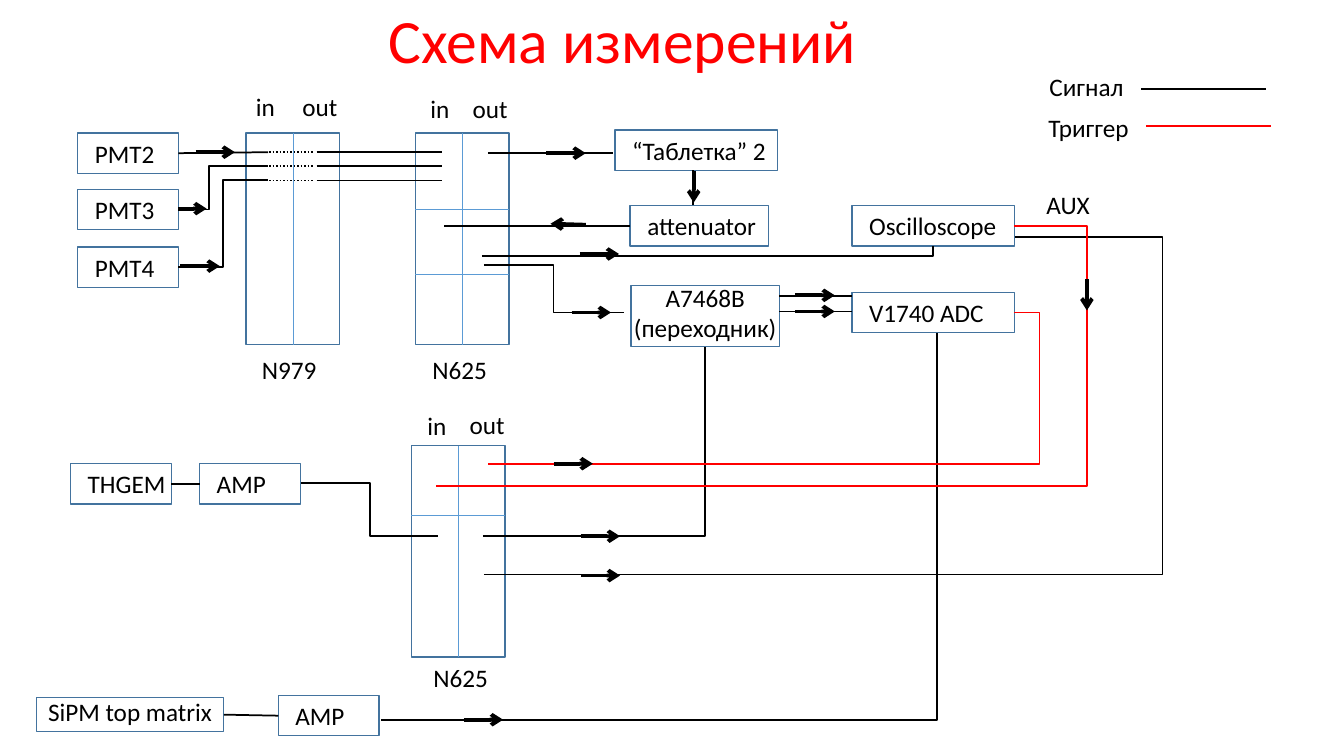
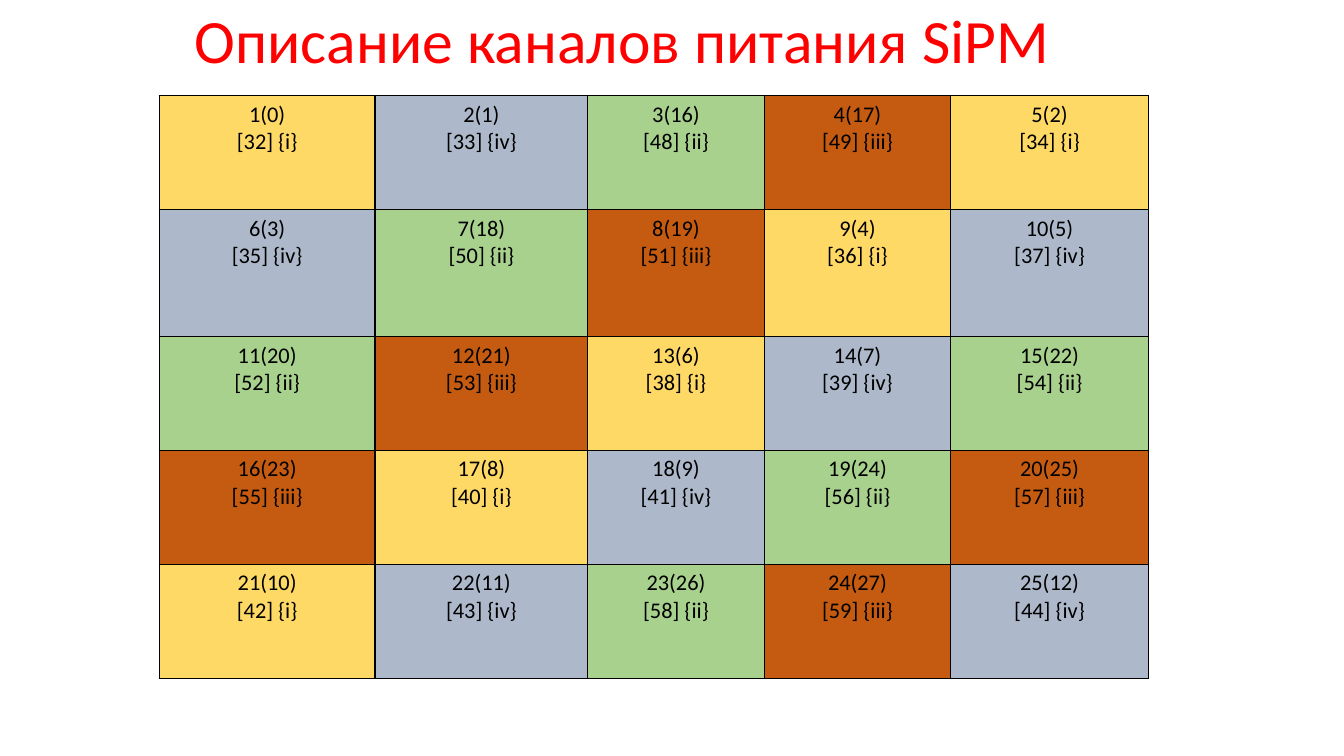
from itertools import count, cycle, islice

from lxml.etree import SubElement
from pptx import Presentation
from pptx.dml.color import RGBColor
from pptx.enum.dml import MSO_LINE_DASH_STYLE as Dash
from pptx.enum.shapes import MSO_CONNECTOR as Connector, MSO_SHAPE as Shape
from pptx.enum.text import MSO_ANCHOR as Anchor, PP_ALIGN as Align
from pptx.oxml.ns import qn
from pptx.util import Inches, Pt

BLACK = RGBColor(0x00, 0x00, 0x00)
RED = RGBColor(0xFF, 0x00, 0x00)
BOX_BLUE = RGBColor(0x43, 0x73, 0x9E)
DIVIDER_BLUE = RGBColor(0x5B, 0x9B, 0xD5)
GROUP_COLORS = {
    "i": RGBColor(0xFF, 0xD9, 0x66),
    "iv": RGBColor(0xAD, 0xB9, 0xCA),
    "ii": RGBColor(0xA9, 0xD1, 0x8E),
    "iii": RGBColor(0xC5, 0x5A, 0x11),
}
FONT = "Calibri"
TOP, LEFT, BOTTOM, RIGHT = range(4)
MODULE_WIDTH, MODULE_HEIGHT = 0.93, 2.1


class Deck:
    """Holds the shared style and the slide being drawn.

    A line's end is either a point (x, y) or a joint (box, side).
    """

    def __init__(self):
        self.presentation = Presentation()
        self.presentation.slide_width = Inches(13.33)
        self.presentation.slide_height = Inches(7.5)
        self.slide = None

    def new_slide(self, title):
        layout = self.presentation.slide_layouts[5]
        self.slide = self.presentation.slides.add_slide(layout)
        shape = self.slide.shapes.title
        shape.left, shape.top = Inches(0), Inches(0)
        shape.width, shape.height = Inches(12.35), Inches(0.86)
        shape.text_frame.vertical_anchor = Anchor.MIDDLE
        self.add_text(shape.text_frame, [title], 44, RED, Align.CENTER)
        shape.text_frame.paragraphs[0].line_spacing = 0.9

    def add_text(self, frame, lines, size=18, color=BLACK, align=Align.LEFT):
        frame.word_wrap = True
        for index, line in enumerate(lines):
            paragraph = frame.add_paragraph() if index else frame.paragraphs[0]
            paragraph.alignment = align
            run = paragraph.add_run()
            run.text = line
            run.font.name, run.font.size = FONT, Pt(size)
            run.font.color.rgb = color

    def label(self, text, left, top, width=1.07):
        shape = self.slide.shapes.add_textbox(
            Inches(left), Inches(top), Inches(width), Inches(0.4))
        self.add_text(shape.text_frame, [text])

    def box(self, left, top, width, height=0.4, lines=(), centered=False):
        shape = self.slide.shapes.add_shape(
            Shape.RECTANGLE, Inches(left), Inches(top), Inches(width), Inches(height))
        shape.shadow.inherit = False
        shape.fill.background()
        shape.line.color.rgb, shape.line.width = BOX_BLUE, Pt(1)
        frame = shape.text_frame
        frame.vertical_anchor = Anchor.MIDDLE
        frame.margin_left = Inches(0 if centered else 0.17)
        frame.margin_right = frame.margin_top = 0
        frame.margin_bottom = Inches(0.07 if centered else 0)
        self.add_text(frame, lines, align=Align.CENTER if centered else Align.LEFT)
        return shape

    def module(self, left, top, name, name_at, in_at, out_at, dividers=()):
        """A two-column unit with its in and out headings."""
        self.box(left, top, MODULE_WIDTH, MODULE_HEIGHT)
        middle = left + MODULE_WIDTH / 2
        self.divider((middle, top), (middle, top + MODULE_HEIGHT))
        for y in dividers:
            self.divider((left, y), (left + MODULE_WIDTH, y))
        self.label(name, *name_at)
        self.label("in", *in_at, width=0.47)
        self.label("out", *out_at, width=0.65)

    def locate(self, end):
        """Return the end's place as lengths."""
        if isinstance(end[0], (int, float)):
            return Inches(end[0]), Inches(end[1])
        box, side = end
        x = {LEFT: 0, RIGHT: box.width}.get(side, box.width // 2)
        y = {TOP: 0, BOTTOM: box.height}.get(side, box.height // 2)
        return box.left + x, box.top + y

    def line(self, start, end, color=BLACK, width=1.25, dash=None,
             kind=Connector.STRAIGHT):
        connector = self.slide.shapes.add_connector(
            kind, *self.locate(start), *self.locate(end))
        for joint, connect in ((start, connector.begin_connect),
                               (end, connector.end_connect)):
            if not isinstance(joint[0], (int, float)):
                connect(*joint)
        connector.line.color.rgb, connector.line.width = color, Pt(width)
        if dash is not None:
            connector.line.dash_style = dash
        SubElement(connector.element.spPr, qn("a:effectLst"))
        return connector

    def divider(self, start, end):
        self.line(start, end, DIVIDER_BLUE, 0.5)

    def arrow(self, start, end):
        connector = self.line(start, end, width=2.75)
        outline = connector.element.spPr.find(qn("a:ln"))
        SubElement(outline, qn("a:tailEnd"), type="arrow")

    def elbow(self, start, end, bend=None, color=BLACK):
        """Turn at x = bend, or only once, above or below the end, without it."""
        connector = self.line(start, end, color, kind=Connector.ELBOW)
        geometry = connector.element.spPr.find(qn("a:prstGeom"))
        if bend is None:
            geometry.set("prst", "bentConnector2")
            return
        first, last = connector.begin_x, connector.end_x
        ratio = round((Inches(bend) - first) / (last - first) * 100000)
        adjustments = geometry.find(qn("a:avLst"))
        if adjustments is None:
            adjustments = SubElement(geometry, qn("a:avLst"))
        SubElement(adjustments, qn("a:gd"), name="adj1", fmla=f"val {ratio}")

    def table(self, left, top, widths, heights, cells):
        """Fill the grid row by row from (lines, color) pairs."""
        frame = self.slide.shapes.add_table(
            len(heights), len(widths), Inches(left), Inches(top),
            Inches(sum(widths)), Inches(sum(heights)))
        table = frame.table
        table.first_row = table.horz_banding = False
        for column, width in zip(table.columns, widths):
            column.width = Inches(width)
        for row, height in zip(table.rows, heights):
            row.height = Inches(height)
        for cell, (lines, color) in zip(table.iter_cells(), cells):
            self.add_text(cell.text_frame, lines, 16, align=Align.CENTER)
            properties = cell._tc.get_or_add_tcPr()
            for side in ("L", "R", "T", "B"):
                border = SubElement(properties, qn(f"a:ln{side}"), w=str(Pt(1)))
                fill = SubElement(border, qn("a:solidFill"))
                SubElement(fill, qn("a:srgbClr"), val=str(BLACK))
            cell.fill.solid()
            cell.fill.fore_color.rgb = color


def draw_scheme(deck):
    deck.new_slide("Схема измерений")

    # Devices
    pmt2, pmt3, pmt4 = [
        deck.box(0.77, top, 1, lines=[name])
        for name, top in (("PMT2", 1.32), ("PMT3", 1.88), ("PMT4", 2.45))]
    deck.box(6.1, 1.29, 1.61, lines=["“Таблетка” 2"])
    attenuator = deck.box(6.25, 2.04, 1.37, lines=["attenuator"])
    oscilloscope = deck.box(8.45, 2.04, 1.61, lines=["Oscilloscope"])
    adapter = deck.box(6.26, 2.83, 1.47, 0.61, ["A7468B", "(переходник)"], True)
    adc = deck.box(8.45, 2.9, 1.61, lines=["V1740 ADC"])
    thgem = deck.box(0.7, 4.6, 1, lines=["THGEM"])
    thgem_amp = deck.box(1.98, 4.6, 1, lines=["AMP"])
    sipm = deck.box(0.36, 6.92, 1.86, 0.34, ["SiPM top matrix"], True)
    sipm_amp = deck.box(2.76, 6.9, 1, lines=["AMP"])
    deck.label("AUX", 10.28, 1.83)

    # Modules
    deck.module(2.44, 1.32, "N979", (2.5, 3.47), (2.44, 0.86), (2.9, 0.86))
    deck.module(4.12, 1.32, "N625", (4.19, 3.47), (4.17, 0.88), (4.59, 0.88),
                dividers=(2.08, 2.72))
    deck.module(4.08, 4.42, "N625", (4.2, 6.52), (4.14, 4.02), (4.56, 4.01),
                dividers=(5.11,))

    # Photomultiplier signals through the first module
    deck.line((pmt2, RIGHT), (2.66, 1.51))
    deck.elbow((pmt3, RIGHT), (2.66, 1.65), 2.07)
    deck.elbow((pmt4, RIGHT), (2.66, 1.79), 2.21)
    for y in (1.51, 1.65, 1.79):
        deck.line((2.67, y), (3.11, y), dash=Dash.ROUND_DOT)
        deck.line((3.14, y), (4.38, y))

    # Straight signals
    deck.line((4.84, 1.52), (6.08, 1.52))
    deck.line((6.87, 2.03), (6.87, 1.69))
    deck.line((attenuator, LEFT), (4.4, 2.24))
    deck.line((thgem, RIGHT), (thgem_amp, LEFT))
    deck.line((sipm, RIGHT), (sipm_amp, LEFT))
    for y in (2.94, 3.09):
        deck.line((7.73, y), (8.45, y))

    # Bent signals
    deck.elbow((4.78, 2.54), (oscilloscope, BOTTOM))
    deck.elbow((4.8, 2.63), (6.19, 3.1), 5.49)
    deck.elbow((2.99, 4.79), (4.34, 5.32), 3.67)
    deck.elbow((4.79, 5.32), (adapter, BOTTOM))
    deck.elbow((3.78, 7.14), (9.29, 3.3))
    deck.elbow((4.8, 5.7), (10.07, 2.35), 11.53)

    # Triggers
    deck.elbow((oscilloscope, RIGHT), (4.33, 4.82), 10.78, RED)
    deck.elbow((adc, RIGHT), (4.84, 4.6), 10.31, RED)

    # Direction arrows
    for x, y in ((1.94, 1.51), (1.79, 2.64), (5.42, 1.52), (5.75, 2.52),
                 (5.67, 3.1), (7.89, 2.93), (7.89, 3.09), (5.49, 4.6),
                 (5.76, 5.32), (5.76, 5.71), (4.6, 7.14)):
        deck.arrow((x, y), (x + 0.39, y))
    deck.arrow((1.77, 2.07), (2.05, 2.07))
    deck.arrow((5.81, 2.23), (5.46, 2.22))
    deck.arrow((6.88, 1.7), (6.88, 2.01))
    deck.arrow((10.78, 2.77), (10.78, 3.08))

    # Legend
    deck.label("Сигнал", 10.31, 0.66)
    deck.line((11.32, 0.88), (12.56, 0.88))
    deck.label("Триггер", 10.3, 1.07)
    deck.line((11.37, 1.25), (12.61, 1.25), RED)


def channel_cells():
    """Number the 25 channels; groups i and iv count from 0, ii and iii from 16."""
    low, high = count(0), count(16)
    groups = [*islice(cycle(GROUP_COLORS), 24), "iv"]
    for number, group in enumerate(groups, 1):
        channel = next(low if group in ("i", "iv") else high)
        lines = [f"{number}({channel})", f"[{channel + 32}] {{{group}}}"]
        yield lines, GROUP_COLORS[group]


def draw_channels(deck):
    deck.new_slide("Описание каналов питания SiPM")
    deck.table(1.58, 0.95, (2.14, 2.11, 1.75, 1.85, 1.96),
               (1.13, 1.26, 1.13, 1.13, 1.13), channel_cells())


def main():
    deck = Deck()
    draw_scheme(deck)
    draw_channels(deck)
    deck.presentation.save("out.pptx")


if __name__ == "__main__":
    main()
